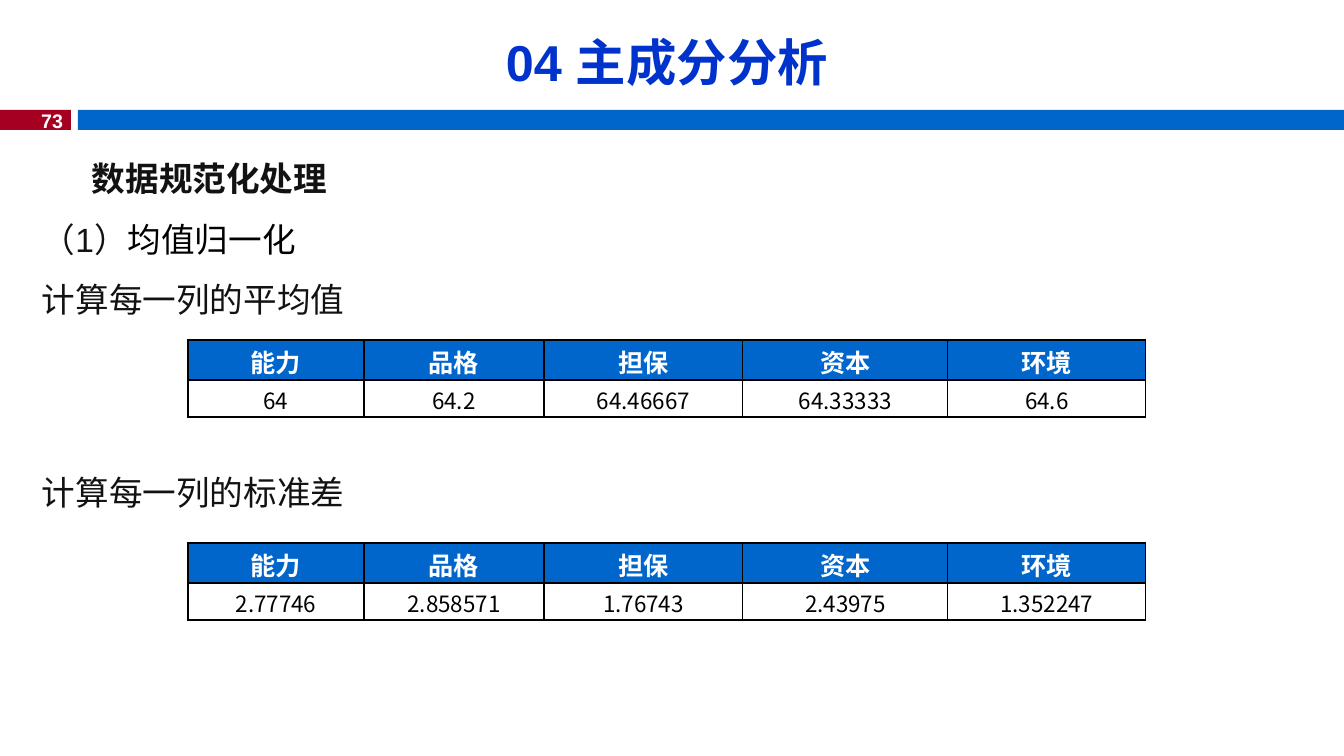
from lxml import etree
from pptx import Presentation
from pptx import util as u
from pptx.dml import color
from pptx.enum import shapes, text
from pptx.oxml import ns

HUES = {"red": "A50021", "blue": "0066CC", "title": "0033CC",
        "ink": "121212", "black": "000000", "white": "FFFFFF"}
LATIN, HAN = "Arial", "Noto Sans CJK SC"
LEFT, CENTER, RIGHT = text.PP_ALIGN.LEFT, text.PP_ALIGN.CENTER, text.PP_ALIGN.RIGHT


def px(n):
    return u.Emu(round(n * 914400 / 100.8))


def hue(name):
    return color.RGBColor.from_string(HUES[name])


class Deck:
    def __init__(self):
        self.prs = Presentation()
        self.prs.slide_width, self.prs.slide_height = px(1344), px(756)
        self.slide = self.prs.slides.add_slide(self.prs.slide_layouts[5])

    def style(self, run, size, tint, bold=False, face=LATIN):
        font = run.font
        font.size, font.bold, font.name = u.Pt(size), bold, face
        font.color.rgb = hue(tint)
        east = etree.SubElement(run._r.get_or_add_rPr(), ns.qn("a:ea"))
        east.set("typeface", HAN)

    def para(self, par, runs, align=LEFT, space=1.0, indent=0):
        """Fill a paragraph with (words, style) runs."""
        par.alignment, par.line_spacing = align, space
        if indent:
            par._p.get_or_add_pPr().set("indent", str(px(indent)))
        for words, look in runs:
            run = par.add_run()
            run.text = words
            self.style(run, **look)

    def title(self, words, x, y, w, h):
        box = self.slide.shapes.title
        box.left, box.top, box.width, box.height = map(px, (x, y, w, h))
        frame = box.text_frame
        frame.auto_size = text.MSO_AUTO_SIZE.NONE
        frame.vertical_anchor = text.MSO_ANCHOR.MIDDLE
        self.para(frame.paragraphs[0], [(words, dict(size=36, tint="title", bold=True))], CENTER)

    def bar(self, x, y, w, h, tint):
        box = self.slide.shapes.add_shape(shapes.MSO_SHAPE.RECTANGLE, *map(px, (x, y, w, h)))
        box.shadow.inherit = False
        box.fill.solid()
        box.fill.fore_color.rgb = hue(tint)
        box.line.fill.background()

    def label(self, x, y, w, h, paras, wrap=True):
        """Add a text box; paras holds the keyword arguments of each paragraph."""
        frame = self.slide.shapes.add_textbox(*map(px, (x, y, w, h))).text_frame
        frame.word_wrap = wrap
        for i, args in enumerate(paras):
            self.para(frame.add_paragraph() if i else frame.paragraphs[0], **args)

    def edge(self, cell):
        """Draw a thin black line on each side of a cell."""
        props = cell._tc.get_or_add_tcPr()
        for i, side in enumerate(("lnL", "lnR", "lnT", "lnB")):
            line = etree.Element(ns.qn("a:" + side), w=str(u.Pt(1)))
            fill = etree.SubElement(line, ns.qn("a:solidFill"))
            etree.SubElement(fill, ns.qn("a:srgbClr"), val=HUES["black"])
            props.insert(i, line)

    def table(self, x, y, cols, rows, data):
        grid = self.slide.shapes.add_table(
            len(rows), len(cols), *map(px, (x, y, sum(cols), sum(rows)))).table
        for col, w in zip(grid.columns, cols):
            col.width = px(w)
        for r, (row, h) in enumerate(zip(grid.rows, rows)):
            row.height = px(h)
            head = r == 0
            look = dict(size=18 if head else 16, tint="white" if head else "black",
                        bold=head, face=HAN)
            for cell, words in zip(row.cells, data[r]):
                cell.margin_top, cell.margin_bottom = px(3), 0
                cell.vertical_anchor = text.MSO_ANCHOR.MIDDLE
                if head:
                    cell.fill.solid()
                    cell.fill.fore_color.rgb = hue("blue")
                else:
                    cell.fill.background()
                self.edge(cell)
                self.para(cell.text_frame.paragraphs[0], [(words, look)], CENTER)


def main():
    deck = Deck()
    deck.bar(0, 110, 71, 20, "red")
    deck.bar(78, 110, 1266, 20, "blue")
    deck.label(29, 104, 44, 34, [dict(
        runs=[("73", dict(size=14, tint="white", bold=True))], align=RIGHT)], wrap=False)
    deck.title("04 主成分分析", 32, 24, 1270, 75)

    body = dict(size=24, tint="ink")
    deck.label(32, 133, 1270, 186, [
        dict(runs=[("数据规范化处理", dict(body, bold=True))], space=1.5, indent=50),
        dict(runs=[("（1）", body), ("均值归一化", dict(size=24, tint="black", face=HAN))],
             space=1.5),
        dict(runs=[("计算每一列的平均值", body)], space=1.5)])
    deck.label(32, 447, 1270, 64, [dict(runs=[("计算每一列的标准差", body)], space=1.5)])

    heads = ["能力", "品格", "担保", "资本", "环境"]
    means = ["64", "64.2", "64.46667", "64.33333", "64.6"]
    devs = ["2.77746", "2.858571", "1.76743", "2.43975", "1.352247"]
    for y, vals in ((340, means), (543, devs)):
        deck.table(188, y, [176, 180, 199, 205, 198], [40, 37], [heads, vals])
    deck.prs.save("out.pptx")


if __name__ == "__main__":
    main()
